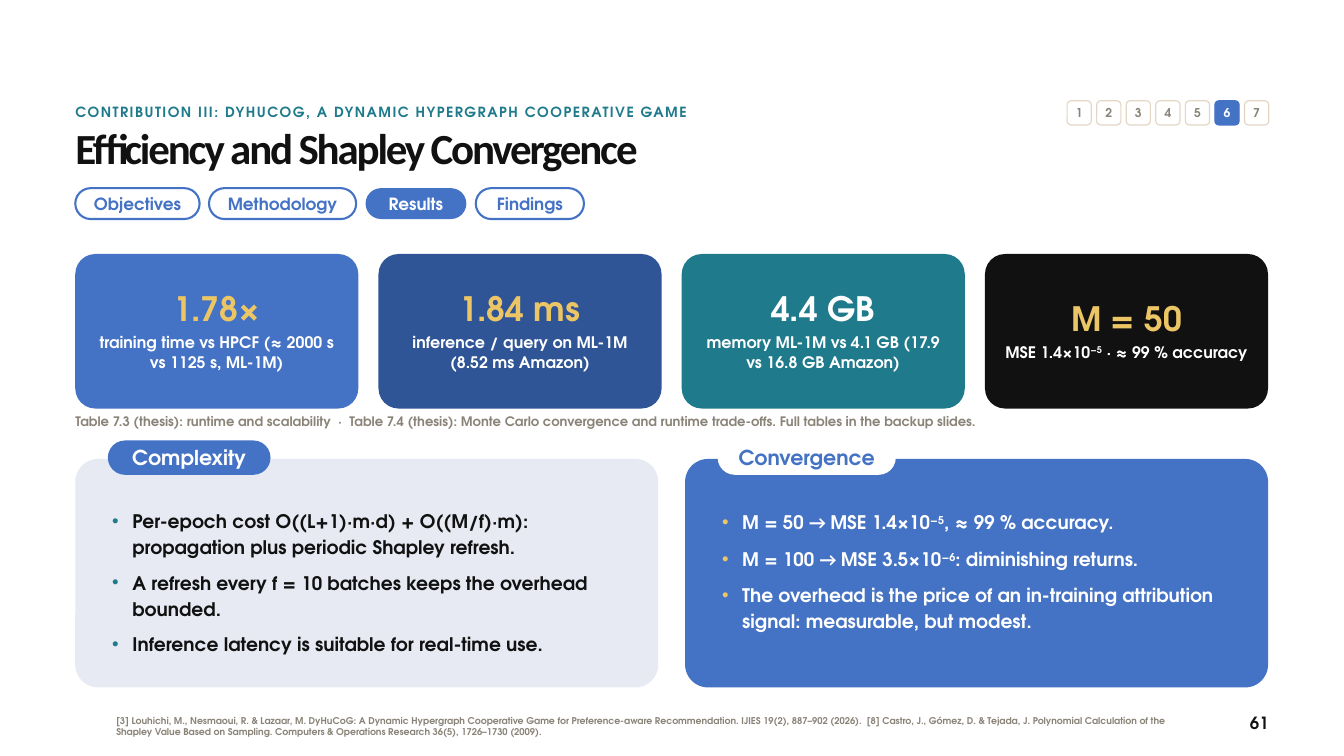
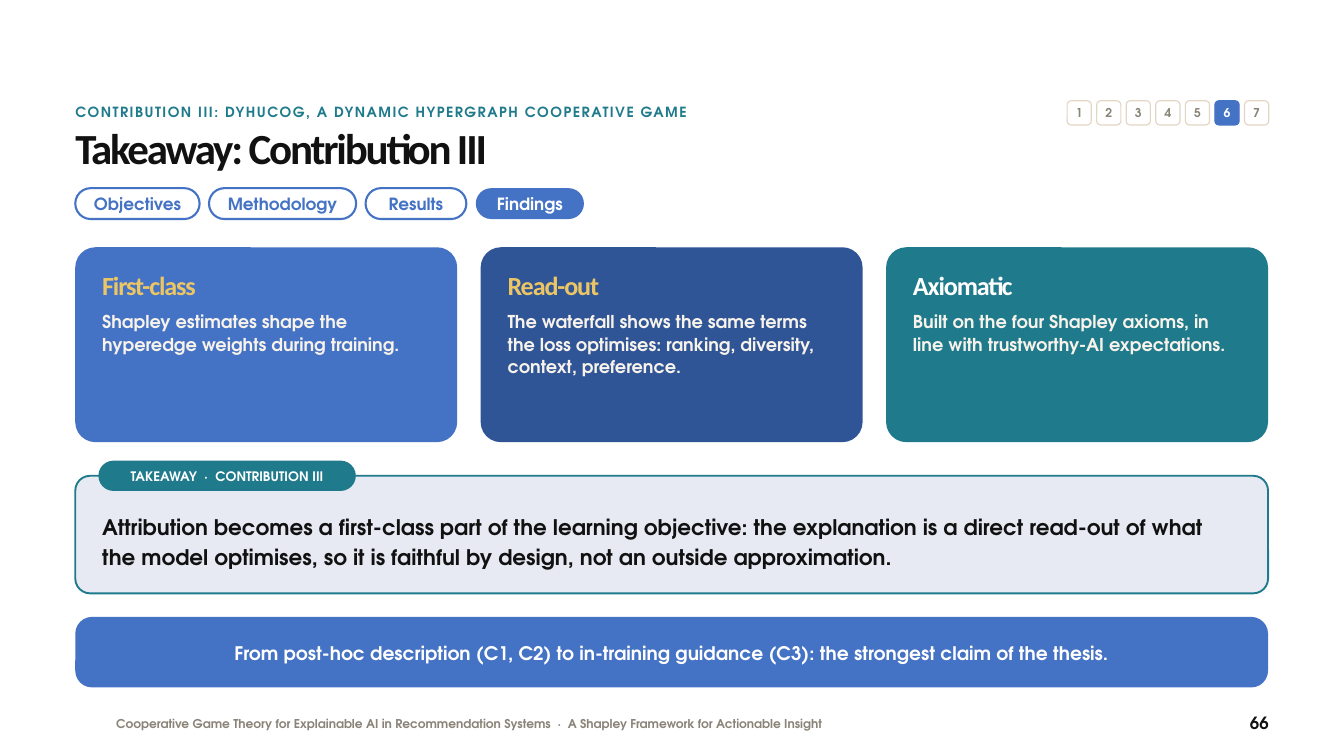
from pptx import Presentation
from pptx import util as u
from pptx.dml.color import RGBColor
from pptx.enum import shapes, text as tx
from pptx.oxml.ns import qn
from lxml import etree


class Theme:
    # Colours
    blue, navy, teal, ink = "4472C4", "2F5597", "1F7A8C", "111111"
    gold, white, cream, pale = "ECC665", "FFFFFF", "F7F2EA", "E7EAF3"
    grey, sand = "8A8378", "E3D6C4"
    # Fonts
    head, body = "Calibri", "TeX Gyre Adventor"
    # Type sizes
    title, stat, sub, lead, tab = 46, 36, 28, 23, 22
    list, copy, page, note = 20, 19, 18, 17
    over, small, foot, cite = 15, 14, 13, 10


LEFT, WIDTH = 1.12, 17.75
MID, TOP = tx.MSO_ANCHOR.MIDDLE, tx.MSO_ANCHOR.TOP
MAIN, END = tx.PP_ALIGN.CENTER, tx.PP_ALIGN.RIGHT


def card(slide, at, fill=None, line=None, width=2.25, bend=0.5):
    """Add a rounded box, or a plain text box when it has no fill or line."""
    spot = [u.Inches(n) for n in at]
    if not (fill or line):
        return slide.shapes.add_textbox(*spot)
    box = slide.shapes.add_shape(shapes.MSO_SHAPE.ROUNDED_RECTANGLE, *spot)
    box.adjustments[0] = bend
    box.shadow.inherit = False
    if fill:
        box.fill.solid()
        box.fill.fore_color.rgb = RGBColor.from_string(fill)
    else:
        box.fill.background()
    if line:
        box.line.color.rgb = RGBColor.from_string(line)
        box.line.width = u.Pt(width)
    else:
        box.line.fill.background()
    return box


def write(box, text, size, color, lead, font=Theme.body, align=tx.PP_ALIGN.LEFT,
          anchor=TOP, pad=(0, 0), gap=0, track=0, dot=None):
    """Append a paragraph; ^ marks superscript, and arrows take the head font."""
    frame = box.text_frame
    frame.word_wrap = True
    frame.auto_size = tx.MSO_AUTO_SIZE.NONE
    frame.vertical_anchor = anchor
    frame.margin_left = frame.margin_right = u.Inches(pad[0])
    frame.margin_top = frame.margin_bottom = u.Inches(pad[1])
    first = not frame.text
    para = frame.paragraphs[0] if first else frame.add_paragraph()
    para.alignment = align
    para.line_spacing = u.Pt(lead)
    para.space_before = u.Pt(0 if first else gap)
    if dot:
        props = para._p.get_or_add_pPr()
        props.set("marL", str(u.Inches(0.3)))
        props.set("indent", str(u.Inches(-0.3)))
        tint = etree.SubElement(props, qn("a:buClr"))
        etree.SubElement(tint, qn("a:srgbClr")).set("val", dot)
        etree.SubElement(props, qn("a:buChar")).set("char", "•")
    for i, part in enumerate(text.replace("→ ", "^→ ^").split("^")):
        run = para.add_run()
        run.text = part
        run.font.size = u.Pt(size)
        run.font.bold = True
        run.font.name = Theme.head if "→" in part else font
        run.font.color.rgb = RGBColor.from_string(color)
        mark = run._r.get_or_add_rPr()
        if track:
            mark.set("spc", str(round(track * 100)))
        if i % 2 and "→" not in part:
            mark.set("baseline", "30000")


deck = Presentation()
deck.slide_width, deck.slide_height = u.Inches(20), u.Inches(11.25)

# Shared frame: title, section line, chapter numbers, tabs and footer
pages = [
    (3, "Efficiency and Shapley Convergence", "Results", "61", Theme.cite, 12,
     (1.73, 10.5, 15.85, 0.62),
     "[3] Louhichi, M., Nesmaoui, R. & Lazaar, M. DyHuCoG: A Dynamic Hypergraph Cooperative Game "
     "for Preference-aware Recommendation. IJIES 19(2), 887–902 (2026).  [8] Castro, J., Gómez, D. "
     "& Tejada, J. Polynomial Calculation of the Shapley Value Based on Sampling. Computers & "
     "Operations Research 36(5), 1726–1730 (2009)."),
    (5, "Takeaway: Contribution III", "Findings", "66", Theme.foot, 16,
     (1.73, 10.66, 14, 0.3),
     "Cooperative Game Theory for Explainable AI in Recommendation Systems  ·  "
     "A Shapley Framework for Actionable Insight"),
]
tabs = [("Objectives", 1.85), ("Methodology", 2.19), ("Results", 1.5), ("Findings", 1.61)]
slides = []
for kind, name, now, page, size, lead, spot, foot in pages:
    slide = deck.slides.add_slide(deck.slide_layouts[kind])
    slides.append(slide)
    title = slide.shapes.title
    title.left, title.top, title.width, title.height = [
        u.Inches(n) for n in (LEFT, 1.88, WIDTH, 0.8)]
    write(title, name, Theme.title, Theme.ink, 50.6, font=Theme.head, track=-2.3)
    write(card(slide, (LEFT, 1.52, 14.15, 0.36)),
          "CONTRIBUTION III: DYHUCOG, A DYNAMIC HYPERGRAPH COOPERATIVE GAME",
          Theme.over, Theme.teal, 20, track=1.6)
    for i in range(7):
        on = i == 5
        box = card(slide, (15.88 + 0.44 * i, 1.5, 0.36, 0.36),
                   Theme.blue if on else Theme.white,
                   Theme.blue if on else Theme.sand, 1.25, 0.167)
        write(box, str(i + 1), Theme.foot, Theme.white if on else Theme.grey, 15,
              align=MAIN, anchor=MID)
    x = LEFT
    for label, wide in tabs:
        on = label == now
        box = card(slide, (x, 2.8, wide, 0.46),
                   Theme.blue if on else None, None if on else Theme.blue)
        write(box, label, Theme.page, Theme.white if on else Theme.blue, 21.6,
              align=MAIN, anchor=MID, pad=(0.05, 0))
        x += wide + 0.14
    write(card(slide, spot), foot, size, Theme.grey, lead,
          anchor=MID if kind == 3 else TOP)
    write(card(slide, (17.68, 10.6, 1.2, 0.36)), page, Theme.page, Theme.ink, 22, align=END)

# Slide 1: key figures
slide = slides[0]
stats = [
    ("1.78×", "training time vs HPCF (≈ 2000 s vs 1125 s, ML-1M)", Theme.blue, Theme.gold),
    ("1.84 ms", "inference / query on ML-1M (8.52 ms Amazon)", Theme.navy, Theme.gold),
    ("4.4 GB", "memory ML-1M vs 4.1 GB (17.9 vs 16.8 GB Amazon)", Theme.teal, Theme.white),
    ("M = 50", "MSE 1.4×10^−5^ · ≈ 99 % accuracy", Theme.ink, Theme.gold),
]
wide = (WIDTH - 3 * 0.3) / 4
for i, (value, label, fill, tint) in enumerate(stats):
    box = card(slide, (LEFT + i * (wide + 0.3), 3.78, wide, 2.3), fill, bend=0.13)
    look = dict(align=MAIN, anchor=MID, pad=(0.15, 0.1))
    write(box, value, Theme.stat, tint, 39.6, **look)
    write(box, label, Theme.note, Theme.white, 21.2, gap=4, **look)
write(card(slide, (LEFT, 6.13, WIDTH, 0.45)),
      "Table 7.3 (thesis): runtime and scalability  ·  Table 7.4 (thesis): Monte Carlo "
      "convergence and runtime trade-offs. Full tables in the backup slides.",
      Theme.small, Theme.grey, 18)

# Slide 1: two panels with lists
panels = [
    ("Complexity", 2.39, Theme.pale, Theme.blue, Theme.white, Theme.ink, Theme.teal,
     ["Per-epoch cost O((L+1)·m·d) + O((M/f)·m): propagation plus periodic Shapley refresh.",
      "A refresh every f = 10 batches keeps the overhead bounded.",
      "Inference latency is suitable for real-time use."]),
    ("Convergence", 2.62, Theme.blue, Theme.white, Theme.blue, Theme.white, Theme.gold,
     ["M = 50 → MSE 1.4×10^−5^, ≈ 99 % accuracy.",
      "M = 100 → MSE 3.5×10^−6^: diminishing returns.",
      "The overhead is the price of an in-training attribution signal: measurable, but modest."]),
]
wide = (WIDTH - 0.4) / 2
for i, (name, span, fill, tag, tint, ink, dot, items) in enumerate(panels):
    x = LEFT + i * (wide + 0.4)
    card(slide, (x, 6.83, wide, 3.4), fill, bend=0.1)
    box = card(slide, (x + 0.5, 6.57, span, 0.48), tag, tag)
    write(box, name, Theme.tab, tint, 26.4, align=MAIN, anchor=MID, pad=(0.05, 0))
    body = slide.placeholders[i + 1]
    body.left, body.top, body.width, body.height = [
        u.Inches(n) for n in (x + 0.55, 7.53, 7.62, 2.4)]
    for item in items:
        write(body, item, Theme.list, ink, 29.6 if "→" in item else 28, gap=10, dot=dot)
    # Bring the list in front of its panel
    body._element.getparent().append(body._element)

# Slide 2: three claims
slide = slides[1]
claims = [
    ("First-class", "Shapley estimates shape the hyperedge weights during training.",
     Theme.blue, Theme.gold),
    ("Read-out", "The waterfall shows the same terms the loss optimises: ranking, diversity, "
     "context, preference.", Theme.navy, Theme.gold),
    ("Axiomatic", "Built on the four Shapley axioms, in line with trustworthy-AI expectations.",
     Theme.teal, Theme.white),
]
wide = (WIDTH - 2 * 0.35) / 3
for i, (name, claim, fill, tint) in enumerate(claims):
    x = LEFT + i * (wide + 0.35)
    card(slide, (x, 3.68, wide, 2.9), fill, bend=0.103)
    box = card(slide, (x + 0.4, 4.03, wide - 0.8, 2.3))
    write(box, name, Theme.sub, tint, 32, font=Theme.head, track=-1.2)
    write(box, claim, Theme.copy, Theme.cream, 24, gap=10)

# Slide 2: takeaway box and closing band
card(slide, (LEFT, 7.08, WIDTH, 1.75), Theme.pale, Theme.teal, 2, 0.126)
write(card(slide, (1.48, 6.87, 3.8, 0.42), Theme.teal, Theme.teal),
      "TAKEAWAY  ·  CONTRIBUTION III", Theme.small, Theme.white, 16.8,
      align=MAIN, anchor=MID, pad=(0.05, 0))
write(card(slide, (LEFT + 0.4, 7.38, WIDTH - 0.8, 1.3)),
      "Attribution becomes a first-class part of the learning objective: the explanation is a "
      "direct read-out of what the model optimises, so it is faithful by design, not an outside "
      "approximation.", Theme.lead, Theme.ink, 32.2, anchor=MID)
write(card(slide, (LEFT, 9.18, WIDTH, 1.05), Theme.blue, bend=0.238),
      "From post-hoc description (C1, C2) to in-training guidance (C3): the strongest claim of "
      "the thesis.", Theme.list, Theme.white, 25, align=MAIN, anchor=MID, pad=(0.5, 0.05))

deck.save("out.pptx")
